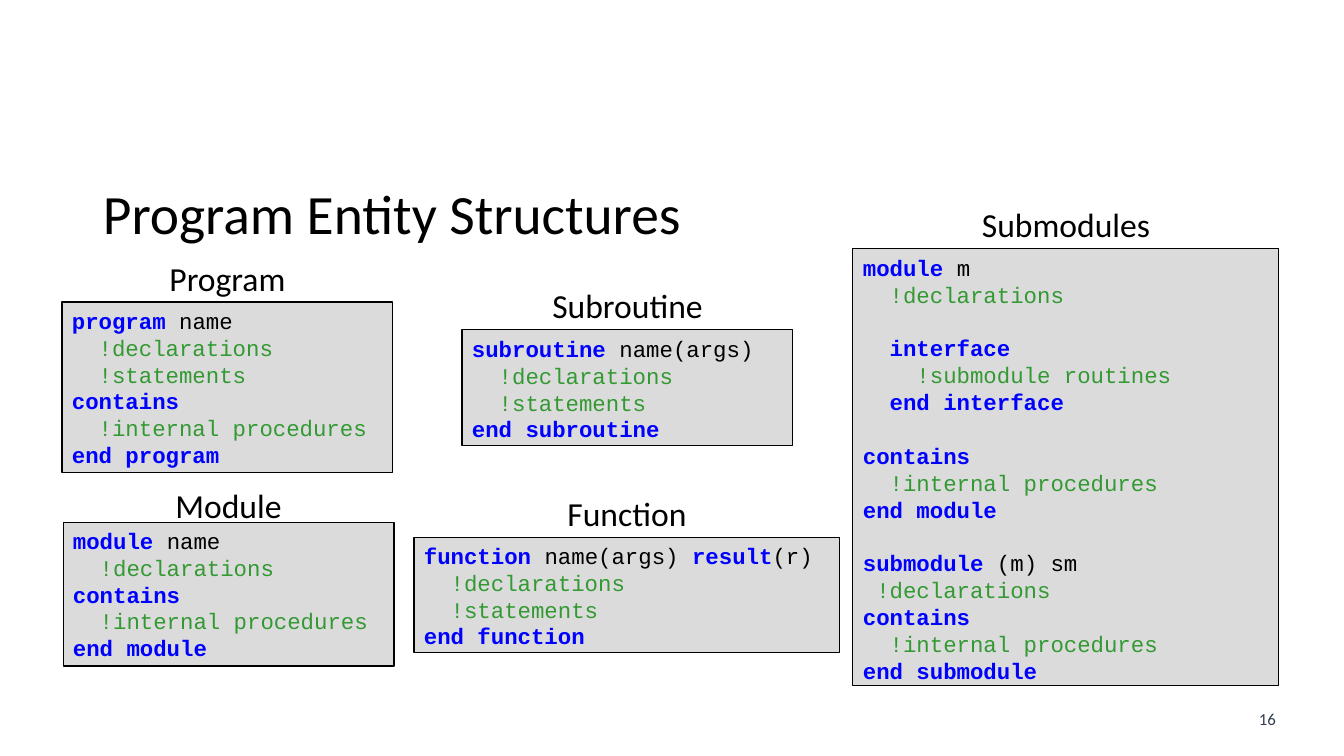
from pptx import Presentation
from pptx.dml.color import RGBColor
from pptx.enum.shapes import MSO_SHAPE
from pptx.enum.text import MSO_ANCHOR, PP_ALIGN
from pptx.util import Emu, Pt

RECT = MSO_SHAPE.RECTANGLE
TOP, MIDDLE = MSO_ANCHOR.TOP, MSO_ANCHOR.MIDDLE
LEFT, CENTER = PP_ALIGN.LEFT, PP_ALIGN.CENTER

BLACK = RGBColor(0x00, 0x00, 0x00)
KEYWORD = RGBColor(0x00, 0x00, 0xFF)
COMMENT = RGBColor(0x33, 0x99, 0x33)
PANEL = RGBColor(0xDB, 0xDB, 0xDB)
SLATE = RGBColor(0x33, 0x3F, 0x50)
SANS, MONO = "Calibri", "Courier New"

# Content: each code line is a list of (text, colour) runs
TITLE = "Program Entity Structures"
PAGE = "16"


def key(text, rest=""):
    return [(text, KEYWORD)] + ([(rest, BLACK)] if rest else [])


def note(text):
    return [(text, COMMENT)]


DECLARATIONS = note("  !declarations")
STATEMENTS = note("  !statements")
CONTAINS = [key("contains"), note("  !internal procedures")]
BLANK_LINE = []

# heading, heading top and width, panel (left, top, width, height), code
ENTITIES = [
    ("Module", 480, 128, (63, 522, 331, 144),
     [key("module ", "name"), DECLARATIONS, *CONTAINS, key("end module")]),
    ("Program", 253, 137, (62, 302, 331, 171),
     [key("program ", "name"), DECLARATIONS, STATEMENTS, *CONTAINS,
      key("end program")]),
    ("Subroutine", 280, 172, (462, 330, 331, 116),
     [key("subroutine ", "name(args)"), DECLARATIONS, STATEMENTS,
      key("end subroutine")]),
    ("Function", 488, 140, (414, 537, 426, 116),
     [key("function ", "name(args) ") + key("result", "(r)"),
      DECLARATIONS, STATEMENTS, key("end function")]),
    ("Submodules", 199, 191, (853, 249, 426, 437),
     [key("module ", "m"), DECLARATIONS, BLANK_LINE,
      key("  interface"), note("    !submodule routines"),
      key("  end interface"), BLANK_LINE,
      *CONTAINS, key("end module"), BLANK_LINE,
      key("submodule", " (m) sm"), note(" !declarations"),
      *CONTAINS, key("end submodule")]),
]


def px(n):
    return Emu(round(n * 914400 / 100.8))


def write(sp, lines, font, size, align=LEFT, anchor=TOP, wrap=True):
    tf = sp.text_frame
    tf.word_wrap = wrap
    tf.vertical_anchor = anchor
    for i, runs in enumerate(lines):
        p = tf.paragraphs[0] if i == 0 else tf.add_paragraph()
        p.alignment = align
        if not runs:
            p.font.size, p.font.name = Pt(size), font
        for text, color in runs:
            r = p.add_run()
            r.text = text
            r.font.name, r.font.size = font, Pt(size)
            r.font.bold = color == KEYWORD
            r.font.color.rgb = color
    return tf


def label(text, box, size, color=BLACK, **layout):
    sp = s.shapes.add_textbox(*map(px, box))
    return write(sp, [[(text, color)]], SANS, size, **layout)


prs = Presentation()
prs.slide_width, prs.slide_height = px(1344), px(756)
s = prs.slides.add_slide(prs.slide_layouts[6])

# Title and page number
title = label(TITLE, (93, 181, 1159, 71), 39.6, anchor=MIDDLE)
title.paragraphs[0].line_spacing = 0.9
label(PAGE, (1244, 704, 47, 30), 12, SLATE, align=CENTER, wrap=False)

# Code panels, each with its heading centred above
for heading, head_top, head_width, panel, code in ENTITIES:
    sp = s.shapes.add_shape(RECT, *map(px, panel))
    sp.shadow.inherit = False
    sp.fill.solid()
    sp.fill.fore_color.rgb = PANEL
    sp.line.color.rgb = BLACK
    sp.line.width = Pt(0.75)
    write(sp, code, MONO, 16)
    left, _, width, _ = panel
    head_left = left + (width - head_width) / 2
    label(heading, (head_left, head_top, head_width, 50), 24,
          align=CENTER, wrap=False)

prs.save("out.pptx")
